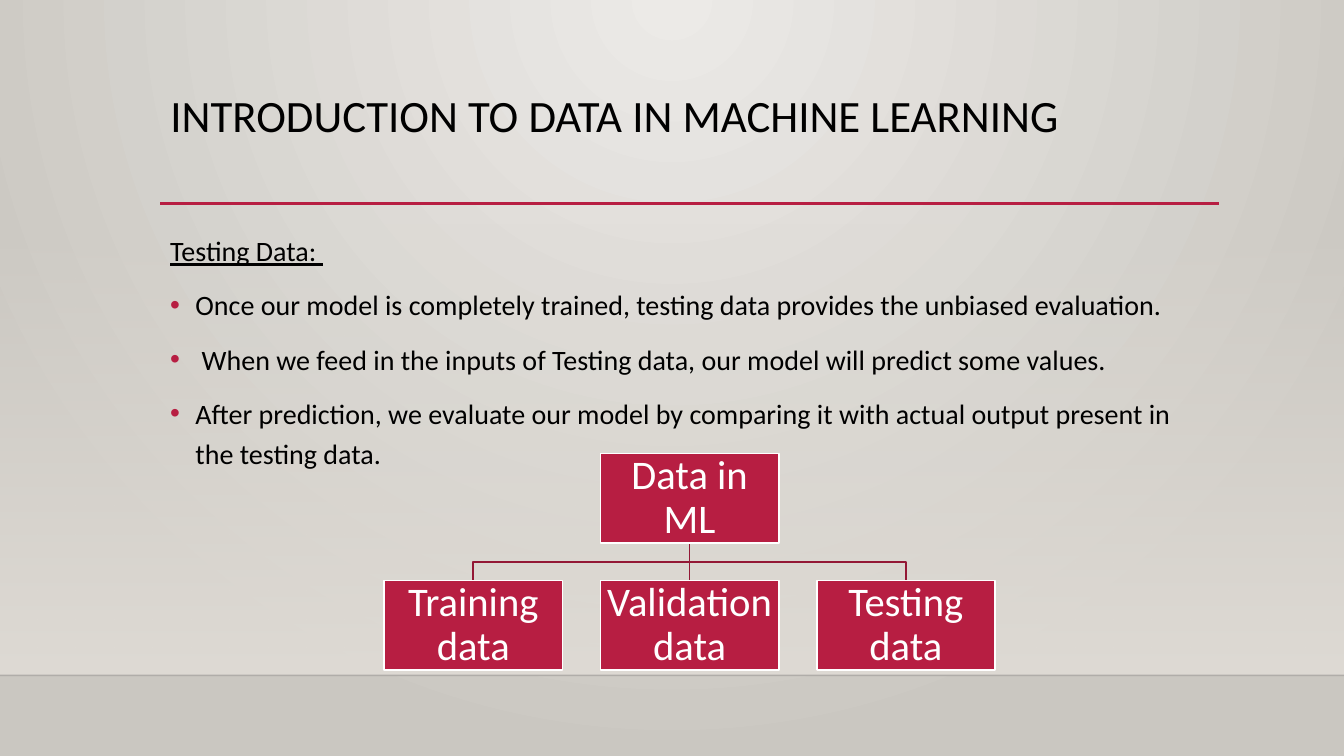
from lxml import etree
from pptx import Presentation
from pptx.dml.color import RGBColor
from pptx.enum.shapes import MSO_CONNECTOR, MSO_SHAPE
from pptx.enum.text import MSO_ANCHOR, MSO_AUTO_SIZE, PP_ALIGN
from pptx.oxml.ns import qn
from pptx.util import Inches, Pt

STRAIGHT, RECT = MSO_CONNECTOR.STRAIGHT, MSO_SHAPE.RECTANGLE
TOP, MIDDLE = MSO_ANCHOR.TOP, MSO_ANCHOR.MIDDLE
LEFT, CENTER = PP_ALIGN.LEFT, PP_ALIGN.CENTER
NO_AUTOFIT = MSO_AUTO_SIZE.NONE
FONT = "Calibri"
BLACK, WHITE, CRIMSON, DARK_CRIMSON = "000000", "FFFFFF", "B71E42", "931835"

TITLE = "INTRODUCTION TO DATA IN MACHINE LEARNING"
HEADING = "Testing Data: "
POINTS = [
    "Once our model is completely trained, testing data provides the unbiased evaluation.",
    " When we feed in the inputs of Testing data, our model will predict some values.",
    "After prediction, we evaluate our model by comparing it with actual output present in the testing data.",
]
ROOT = "Data in ML"
BRANCHES = ["Training data", "Validation data", "Testing data"]


def rgb(value):
    """Turn a hex string into a colour."""
    return RGBColor.from_string(value)


def apply(target, values):
    """Set each attribute named in values on target."""
    for name, value in values.items():
        setattr(target, name, value)


def add_node(parent, tag, **attributes):
    """Append a drawing element to parent."""
    return etree.SubElement(parent, qn(tag), attributes)


def set_line(line, color, width):
    """Give a line its colour and width in points."""
    line.color.rgb = rgb(color)
    line.width = Pt(width)


def set_opacity(fill_parent, percent):
    """Make the first colour below fill_parent partly transparent."""
    color = fill_parent.find(".//" + qn("a:srgbClr"))
    add_node(color, "a:alpha", val=str(percent * 1000))


def set_gradient(fill, start, end):
    """Fill with a two-stop gradient."""
    fill.gradient()
    for stop, color in zip(fill.gradient_stops, (start, end)):
        stop.color.rgb = rgb(color)


def add_rule(slide, start, end, color, width):
    """Draw a straight line between two points in inches."""
    rule = slide.shapes.add_connector(STRAIGHT, *map(Inches, (*start, *end)))
    set_line(rule.line, color, width)
    add_node(rule.element.spPr, "a:effectLst")
    return rule


def write(paragraph, text, size, color, spacing, font=None, **layout):
    """Write one formatted run into a paragraph."""
    apply(paragraph, {"line_spacing": spacing, **layout})
    run = paragraph.add_run()
    run.text = text
    apply(run.font, {"name": FONT, "size": Pt(size), **(font or {})})
    run.font.color.rgb = rgb(color)


def add_bullet(paragraph):
    """Give a paragraph a crimson bullet with a hanging indent."""
    properties = paragraph._p.get_or_add_pPr()
    indent = Inches(0.25)
    properties.set("marL", str(indent))
    properties.set("indent", str(-indent))
    color = add_node(properties, "a:buClr")
    add_node(color, "a:srgbClr", val=CRIMSON)
    add_node(properties, "a:buFont", typeface="Arial")
    add_node(properties, "a:buChar", char="•")


def draw_backdrop(slide, width, floor):
    """Paint the radial background, the fading wall and the floor line."""
    set_gradient(slide.background.fill, "ECEAE7", "CAC7C1")
    gradient = slide.element.find(".//" + qn("a:gradFill"))
    gradient.remove(gradient.find(qn("a:lin")))
    circle = add_node(gradient, "a:path", path="circle")
    add_node(circle, "a:fillToRect", l="43000", t="0", r="43000", b="100000")

    wall_top = 2.21
    wall = slide.shapes.add_shape(
        RECT, 0, Inches(wall_top), Inches(width), Inches(floor - wall_top))
    wall.shadow.inherit = False
    set_gradient(wall.fill, "DFDBD5", "DFDBD5")
    wall.fill.gradient_angle = 270
    set_opacity(wall.element.spPr, 0)
    wall.line.fill.background()

    edge = add_rule(slide, (0, floor), (width, floor), "000001", 1)
    set_opacity(edge.element.spPr, 20)


def draw_title(slide, left, top, width, height):
    """Place the title and the crimson rule at the foot of its box."""
    title = slide.shapes.title
    apply(title, {"left": Inches(left), "top": Inches(top),
                  "width": Inches(width), "height": Inches(height)})
    apply(title.text_frame, {"vertical_anchor": TOP, "word_wrap": True,
                             "auto_size": NO_AUTOFIT})
    write(title.text_frame.paragraphs[0], TITLE, 32, BLACK, 0.9, alignment=LEFT)
    rule_y = top + height - 0.01
    add_rule(slide, (left, rule_y), (left + width, rule_y), CRIMSON, 2.5)


def draw_points(slide, left, top, width, height):
    """Write the underlined heading and its bulleted points."""
    box = slide.shapes.add_textbox(*map(Inches, (left, top, width, height)))
    frame = box.text_frame
    frame.word_wrap = True
    body = {"size": 20, "color": BLACK, "spacing": 1.2, "space_before": Pt(10)}
    write(frame.paragraphs[0], HEADING, font={"underline": True}, **body)
    for point in POINTS:
        paragraph = frame.add_paragraph()
        write(paragraph, point, **body)
        add_bullet(paragraph)


def draw_card(slide, text, left, top, width, height):
    """Draw one labelled card of the hierarchy."""
    card = slide.shapes.add_shape(RECT, *map(Inches, (left, top, width, height)))
    card.shadow.inherit = False
    card.fill.solid()
    card.fill.fore_color.rgb = rgb(CRIMSON)
    set_line(card.line, WHITE, 1.25)
    inset = Inches(0.02)
    apply(card.text_frame, {
        "word_wrap": True, "vertical_anchor": MIDDLE, "margin_left": inset,
        "margin_right": inset, "margin_top": inset, "margin_bottom": inset})
    write(card.text_frame.paragraphs[0], text, 29, WHITE, 0.9, alignment=CENTER)


def draw_branch(slide, root_x, branch_x, top, bottom):
    """Join the root to a branch, with an elbow where they are not aligned."""
    if abs(root_x - branch_x) < 0.01:
        add_rule(slide, (root_x, top), (root_x, bottom), DARK_CRIMSON, 1.25)
        return
    middle = (top + bottom) / 2
    corners = [(root_x, middle), (branch_x, middle), (branch_x, bottom)]
    builder = slide.shapes.build_freeform(Inches(root_x), Inches(top))
    builder.add_line_segments(
        [(Inches(x), Inches(y)) for x, y in corners], close=False)
    elbow = builder.convert_to_shape()
    elbow.shadow.inherit = False
    elbow.fill.background()
    set_line(elbow.line, DARK_CRIMSON, 1.25)


def draw_hierarchy(slide, left, top, width, height):
    """Draw the root card above an evenly spaced row of branch cards."""
    card_width, card_height = 1.77, 0.89
    step = (width - card_width) / (len(BRANCHES) - 1)
    root_left = left + (width - card_width) / 2
    row_top = top + height - card_height
    lefts = [left + step * index for index in range(len(BRANCHES))]
    half = card_width / 2
    for branch_left in lefts:
        draw_branch(slide, root_left + half, branch_left + half,
                    top + card_height, row_top)
    draw_card(slide, ROOT, root_left, top, card_width, card_height)
    for text, branch_left in zip(BRANCHES, lefts):
        draw_card(slide, text, branch_left, row_top, card_width, card_height)


def main():
    """Build and save the slide."""
    deck = Presentation()
    apply(deck, {"slide_width": Inches(13.33), "slide_height": Inches(7.5)})
    slide = deck.slides.add_slide(deck.slide_layouts.get_by_name("Title Only"))
    draw_backdrop(slide, 13.33, 6.7)
    draw_title(slide, 1.59, 0.88, 10.5, 1.15)
    draw_points(slide, 1.59, 2.2, 10.5, 3.77)
    draw_hierarchy(slide, 3.81, 4.5, 6.06, 2.15)
    deck.save("out.pptx")


main()
